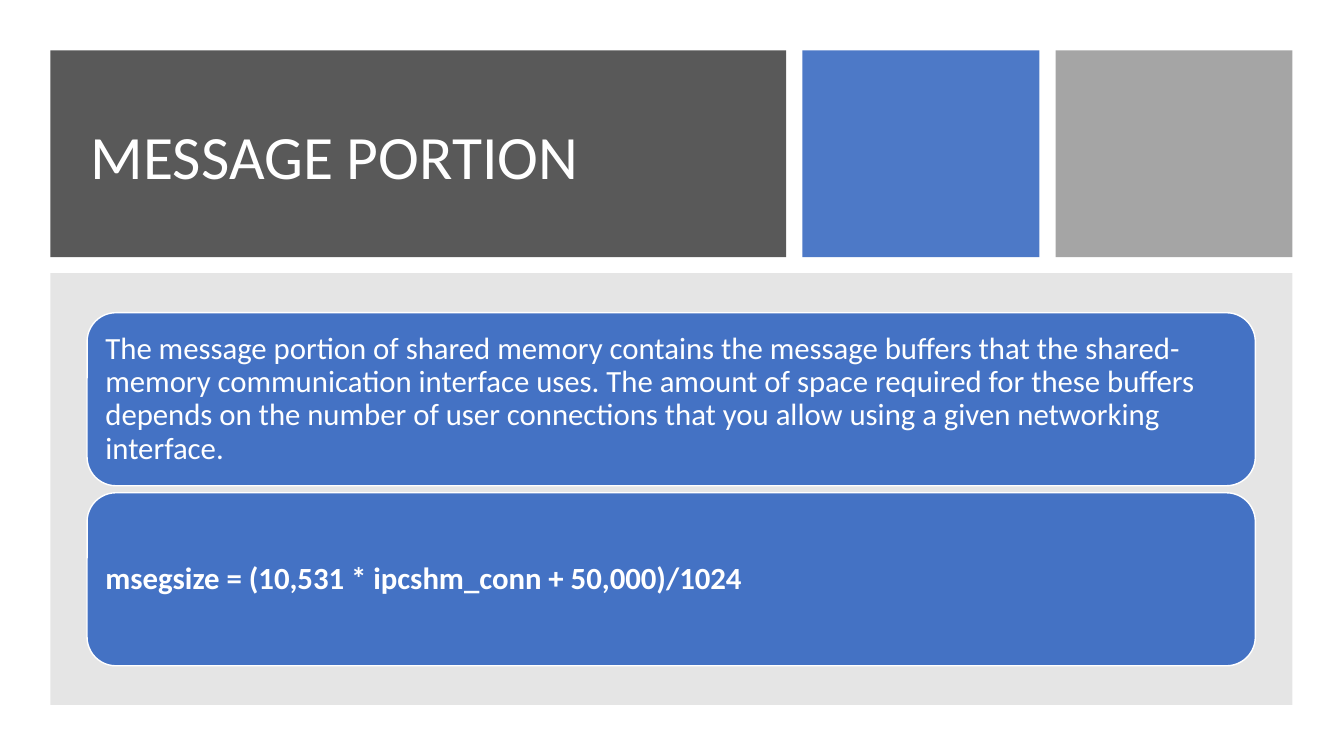
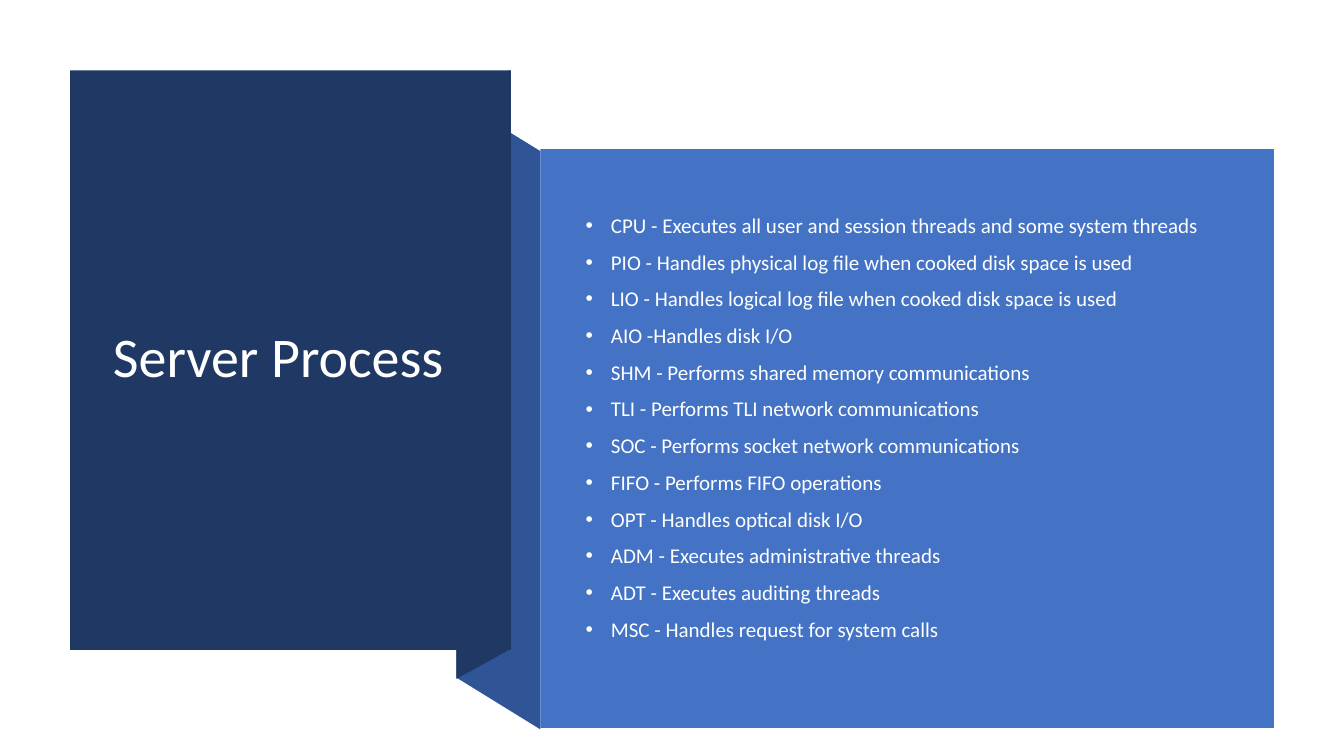
from dataclasses import dataclass

from lxml.etree import SubElement
from pptx import Presentation
from pptx.dml.color import RGBColor
from pptx.enum.shapes import MSO_SHAPE as Shape
from pptx.enum.text import MSO_ANCHOR as Anchor, MSO_AUTO_SIZE as AutoSize, PP_ALIGN as Align
from pptx.oxml.ns import qn
from pptx.util import Pt


@dataclass(frozen=True)
class Theme:
    font: str = "Calibri"
    white: str = "FFFFFF"
    list_text: str = "FEFFFF"
    blue: str = "4472C4"
    fold_blue: str = "2F5597"
    navy: str = "203864"
    dark_gray: str = "595959"
    mid_gray: str = "A5A5A5"
    panel_gray: str = "808080"
    banner_title_size: int = 44
    side_title_size: int = 40
    card_size: int = 22
    list_size: int = 15


theme = Theme()


def paint(shape, color, opacity=100):
    """Give a shape a flat fill (opacity in percent), no outline and no shadow."""
    shape.shadow.inherit = False
    shape.line.fill.background()
    shape.fill.solid()
    shape.fill.fore_color.rgb = RGBColor.from_string(color)
    if opacity < 100:
        fill_color = shape.element.spPr.find(f"{qn('a:solidFill')}/{qn('a:srgbClr')}")
        SubElement(fill_color, qn("a:alpha"), val=str(opacity * 1000))


def write(shape, lines, size, color=theme.white):
    """Fill a shape with left-aligned, vertically centred paragraphs."""
    frame = shape.text_frame
    frame.text = "\n".join(lines)
    frame.word_wrap = True
    frame.auto_size = AutoSize.NONE
    frame.vertical_anchor = Anchor.MIDDLE
    for paragraph in frame.paragraphs:
        paragraph.alignment = Align.LEFT
        paragraph.line_spacing = 0.9
        for run in paragraph.runs:
            run.font.name = theme.font
            run.font.size = Pt(size)
            run.font.color.rgb = RGBColor.from_string(color)


presentation = Presentation()
presentation.slide_width, presentation.slide_height = Pt(960), Pt(540)
title_only = presentation.slide_layouts[5]

# Message portion: banner tiles above a panel of cards
slide = presentation.slides.add_slide(title_only)
margin, gap, banner_height = 36, 11.6, 147.6
left = margin
for width, color, opacity in [
    (525.6, theme.dark_gray, 100),
    (169.2, theme.blue, 95),
    (169.2, theme.mid_gray, 100),
]:
    tile = slide.shapes.add_shape(
        Shape.RECTANGLE, Pt(left), Pt(margin), Pt(width), Pt(banner_height))
    paint(tile, color, opacity)
    left += width + gap

panel_width = left - gap - margin
panel = slide.shapes.add_shape(
    Shape.RECTANGLE, Pt(margin), Pt(margin + banner_height + gap), Pt(panel_width), Pt(308.4))
paint(panel, theme.panel_gray, 20)

cards = [
    ("The message portion of shared memory contains the message buffers that the "
     "shared-memory communication interface uses. The amount of space required for these "
     "buffers depends on the number of user connections that you allow using a given "
     "networking interface.", False),
    ("msegsize = (10,531 * ipcshm_conn + 50,000)/1024", True),
]
card_height, card_gap = 123.6, 5
for index, (text, bold) in enumerate(cards):
    top = 223.4 + index * (card_height + card_gap)
    card = slide.shapes.add_shape(
        Shape.ROUNDED_RECTANGLE, Pt(62.2), Pt(top), Pt(834.5), Pt(card_height))
    paint(card, theme.blue)
    card.line.color.rgb = RGBColor.from_string(theme.white)
    card.line.width = Pt(1)
    write(card, [text], theme.card_size)
    card.text_frame.paragraphs[0].font.bold = bold
    card.text_frame.paragraphs[0].runs[0].font.bold = bold

title = slide.shapes.title
title.left, title.top, title.width, title.height = Pt(57.6), Pt(57.6), Pt(479.5), Pt(112.3)
write(title, ["MESSAGE PORTION"], theme.banner_title_size)
title.element.getparent().append(title.element)  # bring the title in front of its tile

# Server process: folded ribbon joining a title block and a list panel
slide = presentation.slides.add_slide(title_only)
folds = [
    (theme.fold_blue, [(386, 520.6), (326.2, 483.8), (326.2, 71.3), (386, 108)]),
    (theme.navy, [(364.5, 463.7), (326.2, 484.6), (326.2, 70.6), (364.5, 49.7)]),
]
for color, (start, *corners) in folds:
    builder = slide.shapes.build_freeform(*start, scale=Pt(1))
    builder.add_line_segments(corners, close=True)
    paint(builder.convert_to_shape(), color)

title_block = slide.shapes.add_shape(Shape.RECTANGLE, Pt(50), Pt(50.2), Pt(315), Pt(414))
paint(title_block, theme.navy)

process_panel = slide.shapes.add_shape(Shape.RECTANGLE, Pt(386), Pt(106.5), Pt(524), Pt(413.5))
paint(process_panel, theme.blue)
processes = [
    "CPU - Executes all user and session threads and some system threads",
    "PIO - Handles physical log file when cooked disk space is used",
    "LIO - Handles logical log file when cooked disk space is used",
    "AIO -Handles disk I/O",
    "SHM - Performs shared memory communications",
    "TLI - Performs TLI network communications",
    "SOC - Performs socket network communications",
    "FIFO - Performs FIFO operations",
    "OPT - Handles optical disk I/O",
    "ADM - Executes administrative threads",
    "ADT - Executes auditing threads",
    "MSC - Handles request for system calls",
]
write(process_panel, processes, theme.list_size, theme.list_text)
frame = process_panel.text_frame
frame.margin_left, frame.margin_right = Pt(32.4), Pt(37)
frame.margin_top, frame.margin_bottom = Pt(32.4), Pt(46.8)
for paragraph in frame.paragraphs:
    paragraph.space_before = Pt(10)
    properties = paragraph._p.get_or_add_pPr()
    properties.set("marL", str(Pt(18)))
    properties.set("indent", str(-Pt(18)))
    SubElement(properties, qn("a:buFont"), typeface="Arial")
    SubElement(properties, qn("a:buChar"), char="•")

title = slide.shapes.title
title.left, title.top, title.width, title.height = Pt(73.5), Pt(77), Pt(267), Pt(359.3)
write(title, ["Server Process"], theme.side_title_size)
title.element.getparent().append(title.element)

presentation.save("out.pptx")
